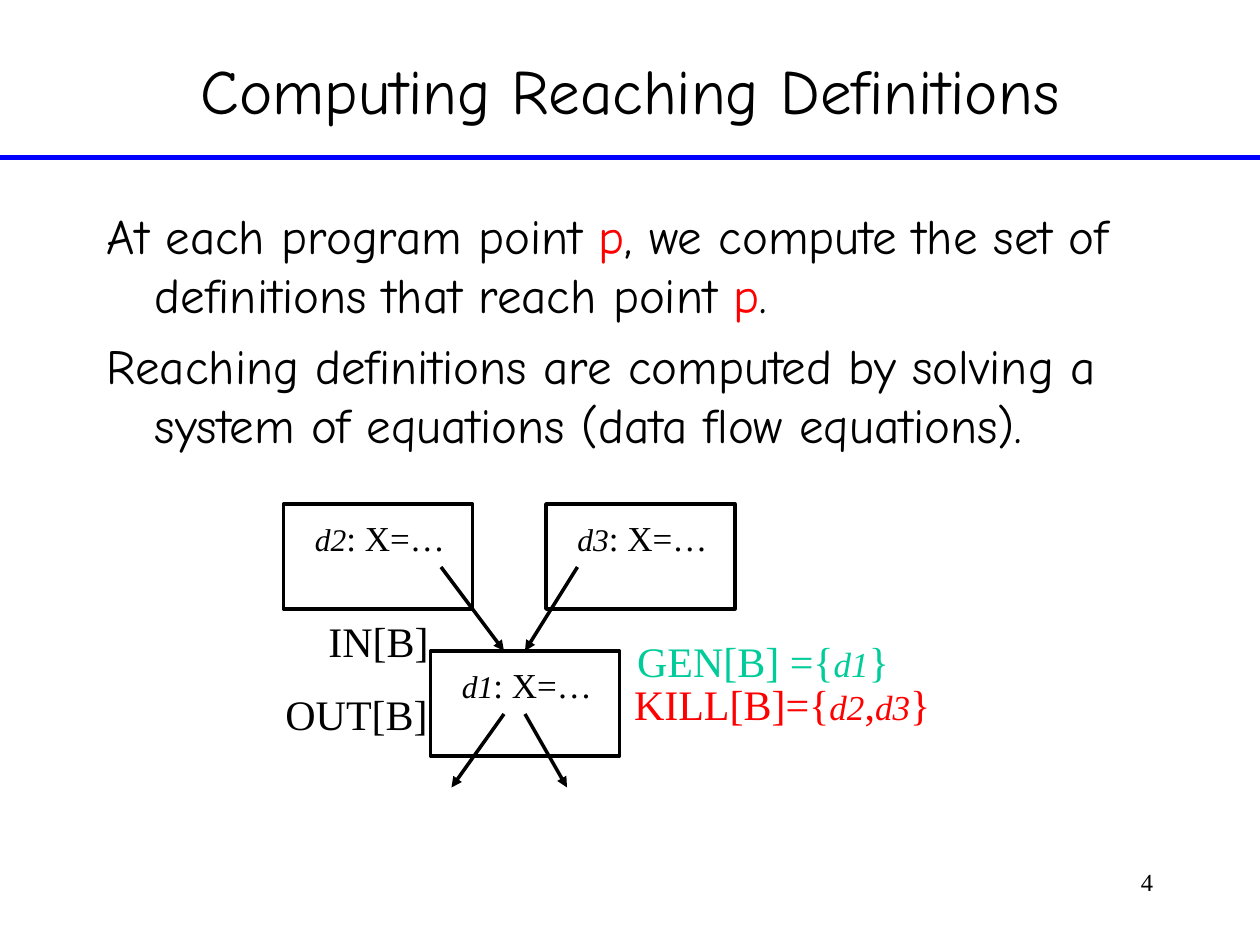
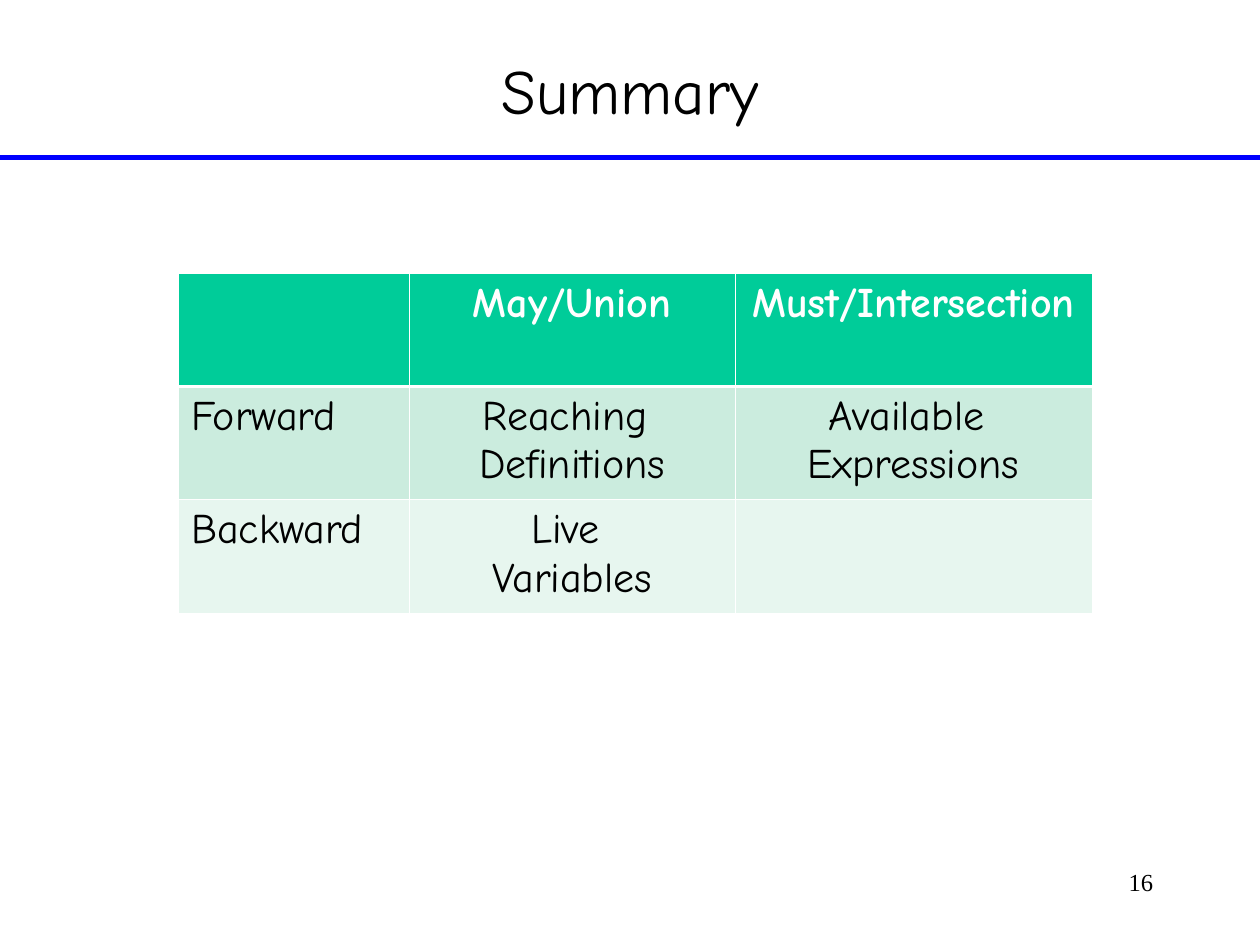
from lxml.etree import SubElement
from pptx import Presentation
from pptx.dml.color import RGBColor
from pptx.enum.shapes import MSO_CONNECTOR, MSO_SHAPE
from pptx.enum.text import MSO_ANCHOR, PP_ALIGN
from pptx.oxml import parse_xml
from pptx.oxml.ns import nsdecls, qn
from pptx.util import Inches, Pt

BLACK = RGBColor(0x00, 0x00, 0x00)
WHITE = RGBColor(0xFF, 0xFF, 0xFF)
BLUE = RGBColor(0x00, 0x00, 0xFF)
RED = RGBColor(0xFF, 0x00, 0x00)
GREEN = RGBColor(0x00, 0xCC, 0x99)
MINT = RGBColor(0xCB, 0xEC, 0xDE)
PALE_MINT = RGBColor(0xE7, 0xF6, 0xEF)

HAND, SERIF = "Comic Neue", "Times New Roman"
WIDTH, HEIGHT = 120, 90  # the slide as a grid of twelfths of an inch

TITLE = dict(name=HAND, size=36, color=BLACK)
BODY = dict(name=HAND, size=28, color=BLACK)
NUMBER = dict(name=SERIF, size=14, color=BLACK)
LABEL = dict(name=SERIF, size=24, color=BLACK)
BLOCK = dict(name=SERIF, size=20, color=BLACK)
CELL = dict(name=HAND, size=24, color=BLACK)

# Content: a paragraph is a list of (text, changes to the base format)
POINT = ("p", dict(color=RED))
REACHING_TEXT = [
    [("At each program point ", {}), POINT,
     (", we compute the set of definitions that reach point ", {}), POINT, (".", {})],
    [("Reaching definitions are computed by solving a system of "
      "equations (data flow equations).", {})],
]

# Flow graph: places are columns and rows of the grid
BLOCK_SIZE = (18, 10)
BLOCKS = [("d1", 41, 62), ("d2", 27, 48), ("d3", 52, 48)]
ARROWS = [(42, 54, 48, 62), (55, 54, 50, 62), (48, 68, 43, 75), (50, 68, 54, 75)]


def italic(name, size=20):
    return name, dict(italic=True, size=size)


LABELS = [  # left, top, width, colour, spans
    (30.1, 58, 12, BLACK, [("IN[B]", {})]),
    (26, 65, 16, BLACK, [("OUT[B]", {})]),
    (59.5, 59.9, 26.4, GREEN, [("GEN[B] ={", {}), italic("d1"), ("}", {})]),
    (59.2, 64, 30.6, RED, [("KILL[B]={", {}), italic("d2"), (",", {}), italic("d3"), ("}", {})]),
]

SUMMARY = [
    ["", "May/Union", "Must/Intersection"],
    ["Forward", "Reaching \nDefinitions", "Available \nExpressions"],
    ["Backward", "Live \nVariables", ""],
]
SUMMARY_COLUMNS, SUMMARY_ROW = (22, 31, 34), 10.8
ROW_FILLS = (GREEN, MINT, PALE_MINT)
THIN, THICK = 0.45, 1.47


def grid(*units):
    return [Inches(unit / 12) for unit in units]


# Text
def write(frame, paragraphs, base, align=PP_ALIGN.LEFT, gap=0, hanging=0):
    for index, spans in enumerate(paragraphs):
        para = frame.paragraphs[0] if index == 0 else frame.add_paragraph()
        para.alignment = align
        if index and gap:
            para.space_before = Pt(gap)
        if hanging:
            properties = para._p.get_or_add_pPr()
            properties.set("marL", str(Inches(hanging)))
            properties.set("indent", str(-Inches(hanging)))
        for text, changes in spans:
            span = para.add_run()
            span.text = text
            look = {**base, **changes}
            span.font.color.rgb = look.pop("color")
            look["size"] = Pt(look["size"])
            for key, value in look.items():
                setattr(span.font, key, value)


def add_text(page, place, paragraphs, base, anchor=MSO_ANCHOR.TOP, wrap=True, **layout):
    frame = page.shapes.add_textbox(*grid(*place)).text_frame
    frame.word_wrap, frame.vertical_anchor = wrap, anchor
    write(frame, paragraphs, base, **layout)


# Lines and blocks
def add_line(page, ends, color, width, arrow=False):
    line = page.shapes.add_connector(MSO_CONNECTOR.STRAIGHT, *grid(*ends))
    line.line.color.rgb, line.line.width = color, Pt(width)
    if arrow:
        SubElement(line.line._get_or_add_ln(), qn("a:tailEnd"), type="triangle")
    SubElement(line._element.spPr, qn("a:effectLst"))


def add_block(page, name, left, top):
    box = page.shapes.add_shape(MSO_SHAPE.RECTANGLE, *grid(left, top, *BLOCK_SIZE))
    box.shadow.inherit = False
    box.fill.background()
    box.line.color.rgb, box.line.width = BLACK, Pt(2)
    frame = box.text_frame
    frame.word_wrap, frame.vertical_anchor = True, MSO_ANCHOR.TOP
    frame.margin_left, frame.margin_top = Inches(0.25), Inches(0.1)
    write(frame, [[italic(name, 18), (": X=…", {})]], BLOCK)


# Table
def set_borders(cell, widths):
    properties = cell._tc.get_or_add_tcPr()
    for index, (side, width) in enumerate(widths.items()):
        properties.insert(index, parse_xml(
            f'<a:ln{side} {nsdecls("a")} w="{Pt(width)}"><a:solidFill>'
            f'<a:srgbClr val="{WHITE}"/></a:solidFill></a:ln{side}>'))


def add_summary(page, left, top):
    size = (sum(SUMMARY_COLUMNS), SUMMARY_ROW * len(SUMMARY))
    table = page.shapes.add_table(len(SUMMARY), len(SUMMARY_COLUMNS),
                                  *grid(left, top, *size)).table
    for column, width in zip(table.columns, grid(*SUMMARY_COLUMNS)):
        column.width = width
    for row, texts in enumerate(SUMMARY):
        head = dict(color=WHITE, bold=True) if row == 0 else {}
        for column, text in enumerate(texts):
            cell = table.cell(row, column)
            cell.fill.solid()
            cell.fill.fore_color.rgb = ROW_FILLS[row]
            set_borders(cell, dict(L=THIN, R=THIN, T=THICK if row == 1 else THIN,
                                   B=THICK if row == 0 else THIN))
            if text:
                write(cell.text_frame, [[(part, head)] for part in text.split("\n")], CELL,
                      align=PP_ALIGN.CENTER if column else PP_ALIGN.LEFT)


# Slides
def add_page(deck, title, number):
    page = deck.slides.add_slide(deck.slide_layouts[6])
    add_line(page, (0, 15, WIDTH, 15), BLUE, 3)
    add_text(page, (9, 2, 102, 13), [[(title, {})]], TITLE,
             anchor=MSO_ANCHOR.MIDDLE, align=PP_ALIGN.CENTER)
    add_text(page, (86, 82, 25, 6), [[(number, {})]], NUMBER, align=PP_ALIGN.RIGHT)
    return page


def main():
    deck = Presentation()
    deck.slide_width, deck.slide_height = grid(WIDTH, HEIGHT)

    page = add_page(deck, "Computing Reaching Definitions", "4")
    add_text(page, (9, 19, 105, 27), REACHING_TEXT, BODY, gap=7, hanging=0.38)
    for block in BLOCKS:
        add_block(page, *block)
    for ends in ARROWS:
        add_line(page, ends, BLACK, 2, arrow=True)
    for left, top, width, color, spans in LABELS:
        add_text(page, (left, top, width, 6), [spans], {**LABEL, "color": color}, wrap=False)

    page = add_page(deck, "Summary", "16")
    add_summary(page, 17, 26)

    deck.save("out.pptx")


if __name__ == "__main__":
    main()
